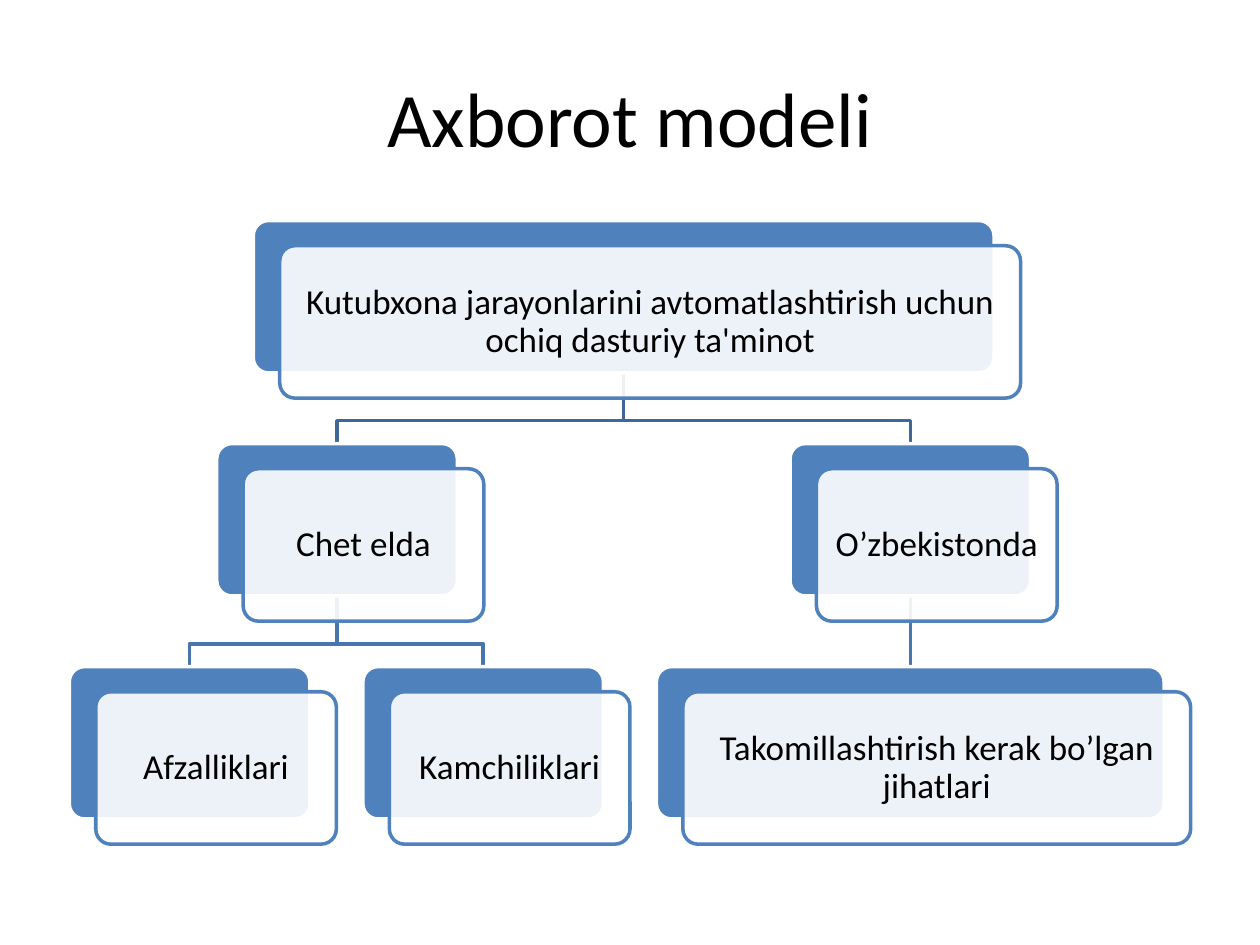
from lxml import etree
from pptx import Presentation
from pptx.dml.color import RGBColor
from pptx.enum import shapes, text
from pptx.oxml import ns
from pptx.util import Inches, Pt

COLORS = {"blue": "4F81BD", "white": "FFFFFF", "black": "000000",
          "upper": "3F6797", "lower": "4875AC"}
BOX_HEIGHT = 1.21
NARROW = 1.91
OFFSET_X, OFFSET_Y = 0.21, 0.2
LEVEL_TOPS = [1.75, 3.52, 5.29]
BEND = 0.38

# name: left, level, width, parent, wording
NODES = {
    "root": (2.01, 0, 5.88, None,
             "Kutubxona jarayonlarini avtomatlashtirish uchun ochiq dasturiy ta'minot"),
    "abroad": (1.72, 1, NARROW, "root", "Chet elda"),
    "pros": (0.55, 2, NARROW, "abroad", "Afzalliklari"),
    "cons": (2.88, 2, NARROW, "abroad", "Kamchiliklari"),
    "local": (6.27, 1, NARROW, "root", "O’zbekistonda"),
    "improve": (5.21, 2, 4.03, "local", "Takomillashtirish kerak bo’lgan jihatlari"),
}


def set_line(shape, color):
    shape.line.color.rgb = RGBColor.from_string(COLORS[color])
    shape.line.width = Pt(2)


def add_card(left, top, width, fill, line):
    card = page.shapes.add_shape(shapes.MSO_SHAPE.ROUNDED_RECTANGLE, Inches(left),
                                 Inches(top), Inches(width), Inches(BOX_HEIGHT))
    card.adjustments[0] = 0.1
    card.shadow.inherit = False
    card.fill.solid()
    card.fill.fore_color.rgb = RGBColor.from_string(COLORS[fill])
    set_line(card, line)
    return card


deck = Presentation()
deck.slide_width, deck.slide_height = Inches(10), Inches(7.5)
page = deck.slides.add_slide(deck.slide_layouts[5])

# Title
title = page.shapes.title
title.left, title.top = Inches(0.5), Inches(0.3)
title.width, title.height = Inches(9), Inches(1.25)
title.text_frame.text = "Axborot modeli"
title.text_frame.vertical_anchor = text.MSO_ANCHOR.MIDDLE
para = title.text_frame.paragraphs[0]
para.alignment = text.PP_ALIGN.CENTER
para.font.size, para.font.name = Pt(44), "Calibri"
para.font.color.rgb = RGBColor.from_string(COLORS["black"])

# Branches from each parent to its children
for left, level, width, parent, wording in reversed(NODES.values()):
    if parent is None:
        continue
    parent_left, parent_level, parent_width = NODES[parent][:3]
    start_x = Inches(parent_left + parent_width / 2)
    start_y = Inches(LEVEL_TOPS[parent_level] + BOX_HEIGHT)
    end_x, end_y = Inches(left + width / 2), Inches(LEVEL_TOPS[level])
    if parent == "local":
        branch = page.shapes.add_connector(shapes.MSO_CONNECTOR.STRAIGHT,
                                           start_x, start_y, start_x, end_y)
        etree.SubElement(branch.element.spPr, ns.qn("a:effectLst"))
    else:
        bend_y = start_y + Inches(BEND)
        builder = page.shapes.build_freeform(start_x, start_y)
        builder.add_line_segments([(start_x, bend_y), (end_x, bend_y), (end_x, end_y)],
                                  close=False)
        branch = builder.convert_to_shape()
        branch.fill.background()
        branch.shadow.inherit = False
    set_line(branch, "upper" if parent == "root" else "lower")

# Boxes: a solid back card and a translucent front card with the wording
for left, level, width, parent, wording in NODES.values():
    top = LEVEL_TOPS[level]
    add_card(left, top, width, "blue", "white")
    front = add_card(left + OFFSET_X, top + OFFSET_Y, width, "white", "blue")
    fill_color = front.element.spPr.find(ns.qn("a:solidFill"))[0]
    etree.SubElement(fill_color, ns.qn("a:alpha"), val="90000")

    frame = front.text_frame
    frame.word_wrap = True
    frame.vertical_anchor = text.MSO_ANCHOR.MIDDLE
    frame.margin_left = frame.margin_right = Inches(0.08)
    frame.margin_top = frame.margin_bottom = Inches(0.08)
    frame.text = wording
    para = frame.paragraphs[0]
    para.alignment = text.PP_ALIGN.CENTER
    para.line_spacing, para.space_after = 0.9, Pt(7)
    para.font.size, para.font.name = Pt(20), "Calibri"
    para.font.color.rgb = RGBColor.from_string(COLORS["black"])

deck.save("out.pptx")
